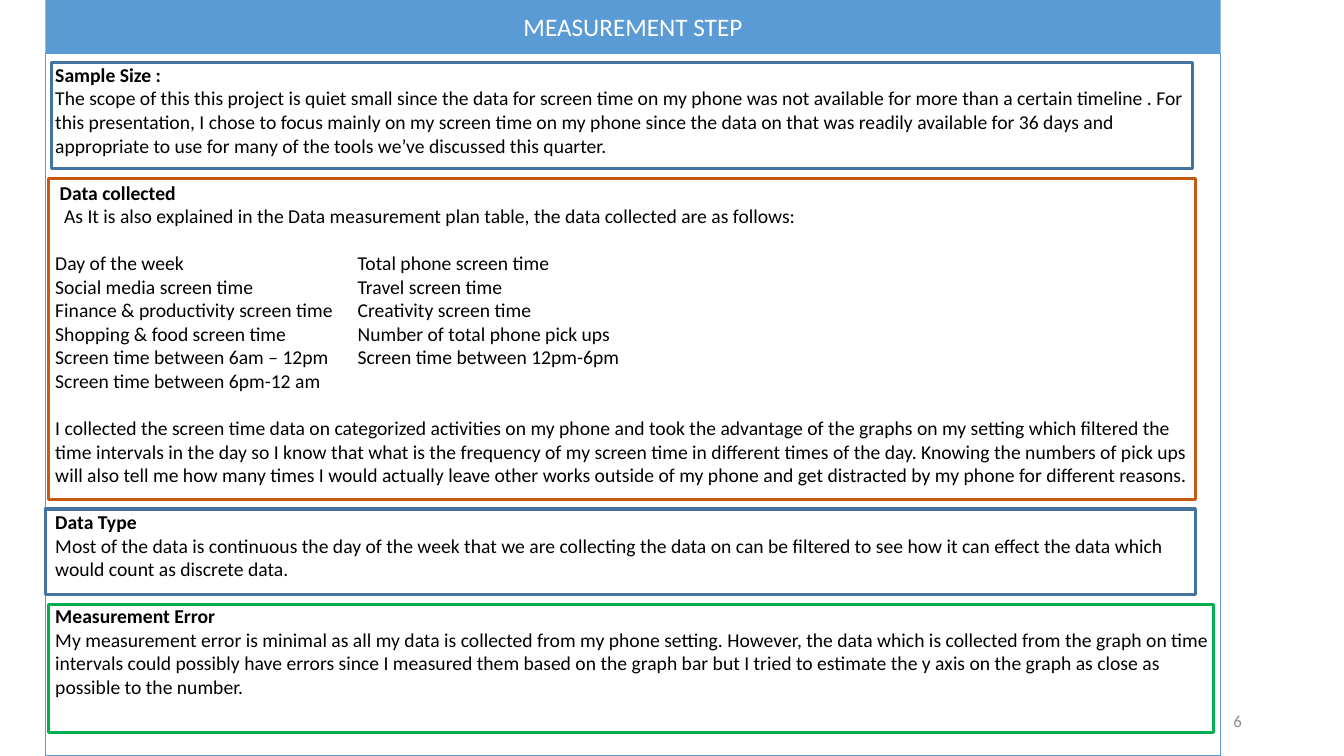
"""Build the Measurement Step slide with its four framed sections."""
from dataclasses import dataclass

from lxml import etree
from pptx import Presentation
from pptx import util as u
from pptx.dml.color import RGBColor
from pptx.enum import shapes, text
from pptx.oxml.ns import qn

COLORS = {
    "banner": "5B9BD5", "white": "FFFFFF", "black": "000000", "gray": "8C8C8C",
    "blue": "43739E", "orange": "C55A11", "green": "00B050",
}
FONT = "Calibri"
BODY_SIZE = 14
SECTION_GAP = 16.85
COLUMN_TAB = 216
SPACE = 3.16


@dataclass(frozen=True)
class Panel:
    left: float
    top: float
    width: float
    height: float
    fill: str = ""
    line: str = ""
    weight: float = 0


@dataclass(frozen=True)
class Line:
    words: str
    bold: bool = False
    gap: bool = False
    indent: float = 0


BANNER = Panel(32.4, 0, 839.5, 38.2, fill="banner")
PAGE = Panel(32.4, 38.2, 839.5, 501.8, fill="white", line="banner", weight=1)
FRAMES = (
    Panel(36.7, 44.6, 815, 75.6, line="blue", weight=2.25),
    Panel(34.6, 127.4, 819.4, 229.7, line="orange", weight=2.25),
    Panel(32.4, 363.6, 821.5, 61.2, line="blue", weight=2.25),
    Panel(34.6, 432, 832.3, 91.4, line="green", weight=2.25),
)
BODY = (
    Line("Sample Size :", bold=True),
    Line("The scope of this this project is quiet small since the data for screen time on my phone "
         "was not available for more than a certain timeline . For this presentation, I chose to "
         "focus mainly on my screen time on my phone since the data on that was readily available "
         "for 36 days and appropriate to use for many of the tools we’ve discussed this quarter."),
    Line("Data collected", bold=True, gap=True, indent=SPACE),
    Line("As It is also explained in the Data measurement plan table, the data collected are as "
         "follows:", indent=2 * SPACE),
    Line("Day of the week\tTotal phone screen time", gap=True),
    Line("Social media screen time\tTravel screen time"),
    Line("Finance & productivity screen time\tCreativity screen time"),
    Line("Shopping & food screen time\tNumber of total phone pick ups"),
    Line("Screen time between 6am – 12pm\tScreen time between 12pm-6pm"),
    Line("Screen time between 6pm-12 am"),
    Line("I collected the screen time data on categorized activities on my phone and took the "
         "advantage of the graphs on my setting which filtered the time intervals in the day so I "
         "know that what is the frequency of my screen time in different times of the day. Knowing "
         "the numbers of pick ups will also tell me how many times I would actually leave other "
         "works outside of my phone and get distracted by my phone for different reasons.", gap=True),
    Line("Data Type", bold=True, gap=True),
    Line("Most of the data is continuous the day of the week that we are collecting the data on can "
         "be filtered to see how it can effect the data which would count as discrete data."),
    Line("Measurement Error", bold=True, gap=True),
    Line("My measurement error is minimal as all my data is collected from my phone setting. "
         "However, the data which is collected from the graph on time intervals could possibly have "
         "errors since I measured them based on the graph bar but I tried to estimate the y axis on "
         "the graph as close as possible to the number."),
)


def rgb(name: str) -> RGBColor:
    return RGBColor.from_string(COLORS[name])


def draw_panel(slide, panel: Panel):
    box = slide.shapes.add_shape(
        shapes.MSO_SHAPE.RECTANGLE, u.Pt(panel.left), u.Pt(panel.top),
        u.Pt(panel.width), u.Pt(panel.height))
    box.shadow.inherit = False
    if panel.fill:
        box.fill.solid()
        box.fill.fore_color.rgb = rgb(panel.fill)
    else:
        box.fill.background()
    if panel.line:
        box.line.color.rgb = rgb(panel.line)
        box.line.width = u.Pt(panel.weight)
    else:
        box.line.fill.background()
    return box


def add_words(paragraph, words: str, size: float, color: str, align, bold: bool = False) -> None:
    paragraph.alignment = align
    run = paragraph.add_run()
    run.text = words
    run.font.name = FONT
    run.font.size = u.Pt(size)
    run.font.bold = bold
    run.font.color.rgb = rgb(color)


def write_body(frame) -> None:
    frame.word_wrap = True
    frame.vertical_anchor = text.MSO_ANCHOR.TOP
    frame.margin_top = u.Pt(6.7)
    for index, line in enumerate(BODY):
        paragraph = frame.add_paragraph() if index else frame.paragraphs[0]
        add_words(paragraph, line.words, BODY_SIZE, "black", text.PP_ALIGN.LEFT, line.bold)
        if line.gap:
            paragraph.space_before = u.Pt(SECTION_GAP)
        properties = paragraph._p.get_or_add_pPr()
        if line.indent:
            properties.set("marL", str(int(u.Pt(line.indent))))
        if "\t" in line.words:
            stops = etree.SubElement(properties, qn("a:tabLst"))
            etree.SubElement(stops, qn("a:tab"), pos=str(u.Pt(COLUMN_TAB)), algn="l")


def main() -> None:
    deck = Presentation()
    deck.slide_width, deck.slide_height = u.Pt(960), u.Pt(540)
    slide = deck.slides.add_slide(deck.slide_layouts[6])

    title = draw_panel(slide, BANNER).text_frame
    title.vertical_anchor = text.MSO_ANCHOR.MIDDLE
    add_words(title.paragraphs[0], "MEASUREMENT STEP", 18, "white", text.PP_ALIGN.CENTER)

    page_number = slide.shapes.add_textbox(u.Pt(678.2), u.Pt(500.4), u.Pt(216), u.Pt(28.8)).text_frame
    page_number.word_wrap = True
    page_number.vertical_anchor = text.MSO_ANCHOR.MIDDLE
    add_words(page_number.paragraphs[0], "6", 12, "gray", text.PP_ALIGN.RIGHT)

    write_body(draw_panel(slide, PAGE).text_frame)
    for frame in FRAMES:
        draw_panel(slide, frame)
    deck.save("out.pptx")


if __name__ == "__main__":
    main()
